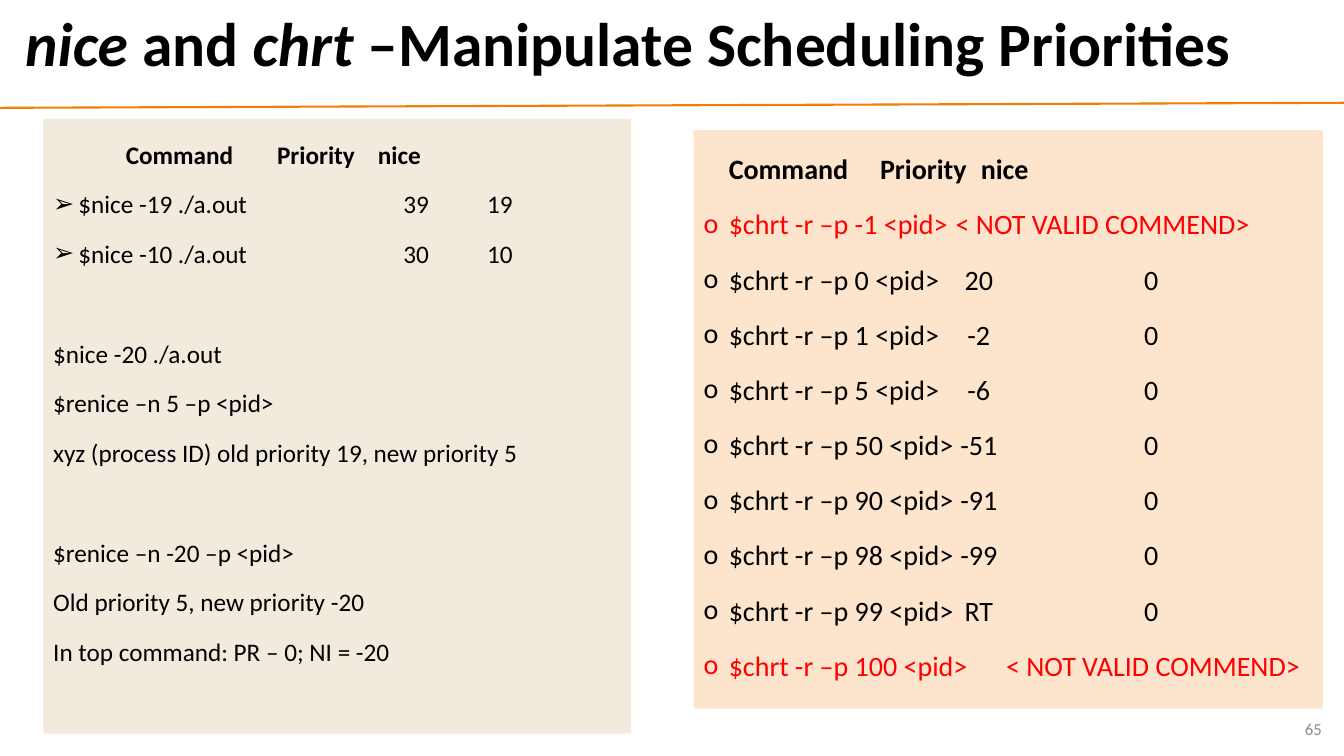
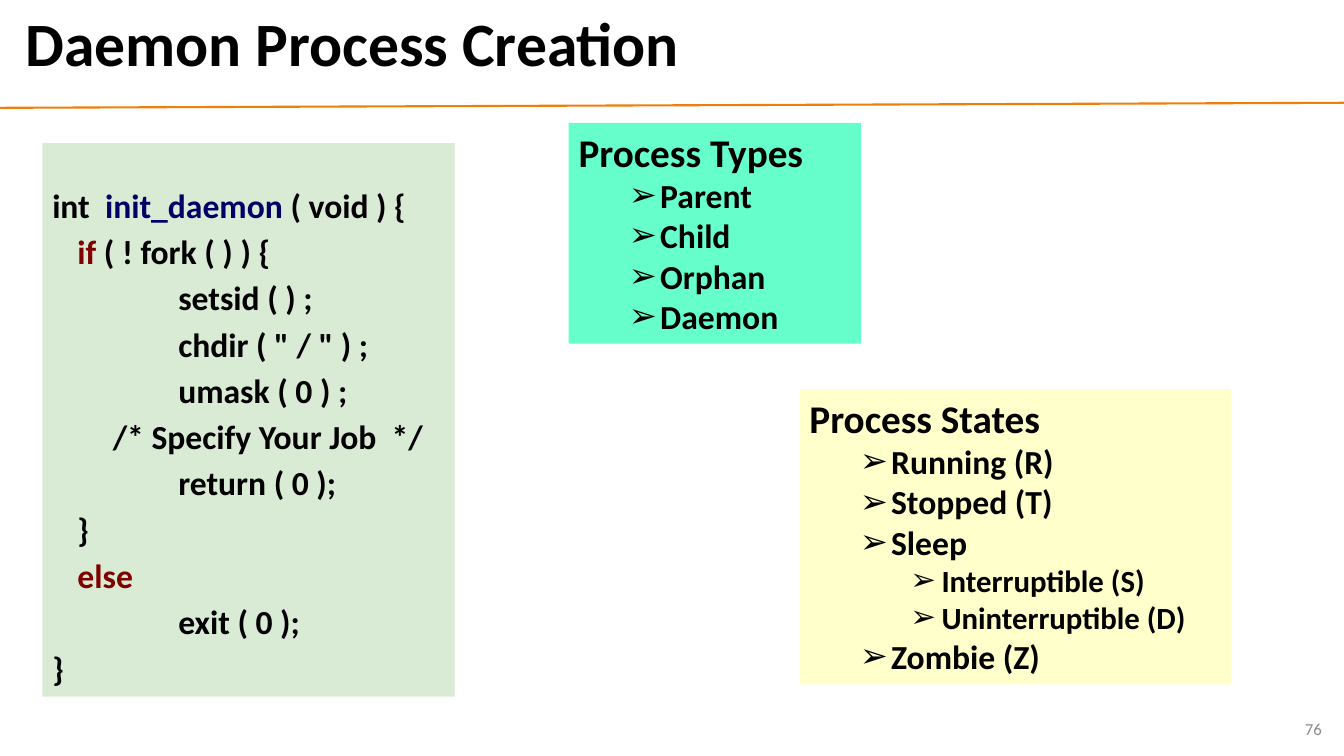
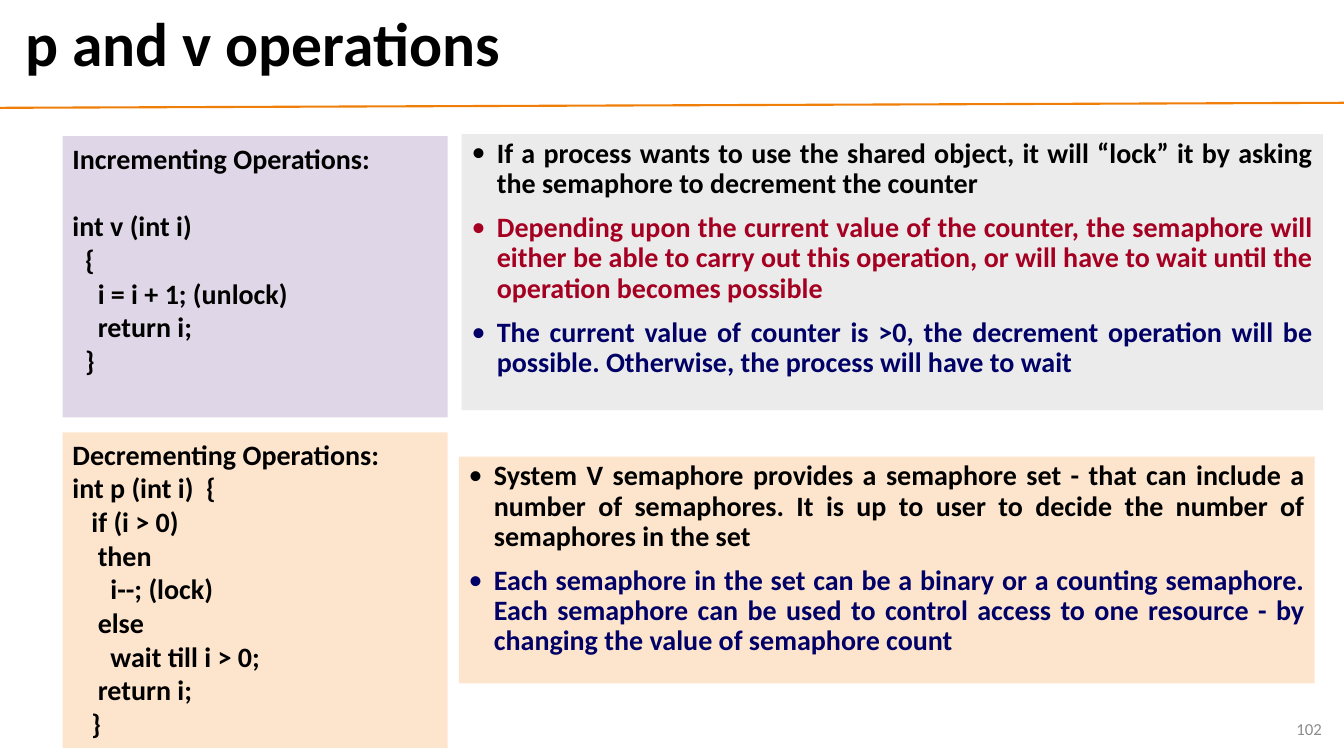
from dataclasses import dataclass

from lxml import etree
from pptx import Presentation
from pptx.dml.color import RGBColor
from pptx.enum.shapes import MSO_CONNECTOR, MSO_SHAPE
from pptx.enum.text import MSO_ANCHOR, MSO_AUTO_SIZE, PP_ALIGN
from pptx.oxml.ns import qn
from pptx.util import Pt

PX = 9144
SLIDE_W, SLIDE_H = 1333, 750
FONT = "Calibri"

BLACK = RGBColor(0x00, 0x00, 0x00)
WHITE = RGBColor(0xFF, 0xFF, 0xFF)
GREY = RGBColor(0x8C, 0x8C, 0x8C)
ORANGE = RGBColor(0xF0, 0x7F, 0x09)
RED = RGBColor(0xFF, 0x00, 0x00)
MAROON = RGBColor(0x80, 0x00, 0x00)
CRIMSON = RGBColor(0xA5, 0x00, 0x21)
NAVY = RGBColor(0x00, 0x00, 0x66)
PEACH = RGBColor(0xFD, 0xE5, 0xCD)
SAND = RGBColor(0xF3, 0xEA, 0xDE)
SAGE = RGBColor(0xD9, 0xEA, 0xD5)
MINT = RGBColor(0x66, 0xFF, 0xCC)
CREAM = RGBColor(0xFF, 0xFF, 0xCC)
LILAC = RGBColor(0xDF, 0xD7, 0xE7)
SILVER = RGBColor(0xEB, 0xEB, 0xEB)

RECT = MSO_SHAPE.RECTANGLE
STRAIGHT = MSO_CONNECTOR.STRAIGHT
TOP, MIDDLE = MSO_ANCHOR.TOP, MSO_ANCHOR.MIDDLE
NO_FIT = MSO_AUTO_SIZE.NONE
LEFT, RIGHT, JUSTIFY = PP_ALIGN.LEFT, PP_ALIGN.RIGHT, PP_ALIGN.JUSTIFY

ARROW, CIRCLE, DOT = "➢", "o", "•"


@dataclass
class Line:
    runs: list
    size: float = 20
    bold: bool = True
    align: PP_ALIGN = LEFT
    left: int = 0
    hang: int = 0
    bullet: str = ""
    tabs: tuple = ()
    spacing: float = 1.0
    before: float = 0


def emu(*lengths):
    return [n * PX for n in lengths]


def add_runs(p, runs, size, bold, color=BLACK):
    for text, *style in runs:
        r = p.add_run()
        r.text = text
        font = r.font
        font.name, font.size, font.bold = FONT, Pt(size), bold
        font.italic = "italic" in style
        font.color.rgb = next((c for c in style if c != "italic"), color)


def add_line(p, line):
    pPr = p._p.get_or_add_pPr()
    pPr.set("marL", str(line.left * PX))
    pPr.set("indent", str(-line.hang * PX))
    if line.bullet:
        etree.SubElement(pPr, qn("a:buFont")).set("typeface", FONT)
        etree.SubElement(pPr, qn("a:buChar")).set("char", line.bullet)
    if line.tabs:
        tab_list = etree.SubElement(pPr, qn("a:tabLst"))
        for pos, align in line.tabs:
            tab = etree.SubElement(tab_list, qn("a:tab"))
            tab.set("pos", str((pos - line.left) * PX))
            tab.set("algn", align)
    p.alignment = line.align
    p.line_spacing = line.spacing
    p.space_before = Pt(line.before)
    add_runs(p, line.runs, line.size, line.bold)


def add_panel(slide, box, fill, lines, top_inset=5):
    sp = slide.shapes.add_shape(RECT, *emu(*box))
    sp.shadow.inherit = False
    sp.fill.solid()
    sp.fill.fore_color.rgb = fill
    sp.line.fill.background()
    tf = sp.text_frame
    tf.word_wrap = True
    tf.vertical_anchor = TOP
    tf.margin_top = top_inset * PX
    for i, line in enumerate(lines):
        add_line(tf.add_paragraph() if i else tf.paragraphs[0], line)


def add_slide(prs, title_runs, number):
    slide = prs.slides.add_slide(prs.slide_layouts[5])
    slide.background.fill.solid()
    slide.background.fill.fore_color.rgb = WHITE

    rule = slide.shapes.add_connector(STRAIGHT, *emu(0, 107, SLIDE_W, 102))
    rule.line.color.rgb = ORANGE
    rule.line.width = Pt(1.5)
    etree.SubElement(rule._element.spPr, qn("a:effectLst"))

    title = slide.shapes.title
    title.left, title.top, title.width, title.height = emu(15, 5, 1289, 83)
    tf = title.text_frame
    tf.word_wrap = True
    tf.auto_size = NO_FIT
    tf.vertical_anchor = MIDDLE
    p = tf.paragraphs[0]
    p.alignment = LEFT
    p.line_spacing = 0.9
    add_runs(p, title_runs, 44, True)

    footer = slide.shapes.add_textbox(*emu(1021, 703, 300, 40))
    tf = footer.text_frame
    tf.word_wrap = True
    tf.vertical_anchor = MIDDLE
    p = tf.paragraphs[0]
    p.alignment = RIGHT
    add_runs(p, [(number,)], 12, False, GREY)
    return slide


def chrt_panel(slide, box):
    columns = ((298, "ctr"), (469, "ctr"))
    style = dict(left=25, spacing=1.5)
    row = dict(style, hang=25, bullet=CIRCLE, bold=False, before=3.4)

    def invalid(priority, note_at):
        text = f"$chrt -r –p {priority} <pid>\t< NOT VALID COMMEND>"
        return Line([(text, RED)], tabs=((note_at, "l"),), **row)

    values = [("0", "20"), ("1", "-2"), ("5", "-6"), ("50", "-51"),
              ("90", "-91"), ("98", "-99"), ("99", "RT")]
    lines = [Line([("Command\tPriority\tnice",)], tabs=columns, **style),
             invalid("-1", 254)]
    lines += [Line([(f"$chrt -r –p {arg} <pid>\t{priority}\t0",)], tabs=columns, **row)
              for arg, priority in values]
    lines.append(invalid("100", 274))
    add_panel(slide, box, PEACH, lines)


def nice_panel(slide, box):
    style = dict(size=18, spacing=1.5)
    body = dict(style, bold=False)
    row = dict(body, left=25, hang=25, bullet=ARROW, before=3,
               tabs=((385, "ctr"), (468, "ctr")))
    lines = [Line([("Command\tPriority\tnice",)], left=72,
                  tabs=((372, "ctr"), (471, "ctr")), **style),
             Line([("$nice -19 ./a.out\t39\t19",)], **row),
             Line([("$nice -10 ./a.out\t30\t10",)], **row)]
    groups = [
        ["$nice -20 ./a.out", "$renice –n 5 –p <pid>",
         "xyz (process ID) old priority 19, new priority 5"],
        ["$renice –n -20 –p <pid>", "Old priority 5, new priority -20",
         "In top command: PR – 0; NI = -20"],
    ]
    for group in groups:
        lines += [Line([(text,)], before=3 if i else 39, **body)
                  for i, text in enumerate(group)]
    add_panel(slide, box, SAND, lines)


def daemon_code_panel(slide, box):
    code = [
        (0, [("int  ",), ("init_daemon", NAVY), (" ( void ) {",)]),
        (25, [("if", MAROON), (" ( ! fork ( ) ) {",)]),
        (125, [("setsid ( ) ;",)]),
        (125, [('chdir ( " / " ) ;',)]),
        (125, [("umask ( 0 ) ;",)]),
        (60, [("/* Specify Your Job  */",)]),
        (125, [("return ( 0 );",)]),
        (25, [("}",)]),
        (25, [("else", MAROON)]),
        (125, [("exit ( 0 );",)]),
        (0, [("}",)]),
    ]
    lines = [Line(runs, size=24, left=left, spacing=0.8, before=10 if i else 0)
             for i, (left, runs) in enumerate(code)]
    add_panel(slide, box, SAGE, lines, top_inset=49)


def outline_panel(slide, box, fill, heading, items):
    sizes = {1: 24, 2: 22}
    lines = [Line([(heading,)], size=28)]
    lines += [Line([(text,)], size=sizes[level], left=31 + 50 * level, hang=31, bullet=ARROW)
              for level, text in items]
    add_panel(slide, box, fill, lines)


def code_panel(slide, box, fill, heading, code, gap=0):
    lines = [Line([(heading,)])]
    lines += [Line([(text,)], before=0 if i else gap) for i, text in enumerate(code)]
    add_panel(slide, box, fill, lines)


def notes_panel(slide, box, fill, notes):
    lines = [Line([note], align=JUSTIFY, left=25, hang=25, bullet=DOT,
                  spacing=0.9, before=10 if i else 0)
             for i, note in enumerate(notes)]
    add_panel(slide, box, fill, lines)


def priorities_slide(prs):
    title = [("nice", "italic"), (" and ",), ("chrt", "italic"),
             (" –Manipulate Scheduling Priorities",)]
    slide = add_slide(prs, title, "65")
    chrt_panel(slide, (688, 129, 624, 574))
    nice_panel(slide, (43, 118, 583, 610))


def daemon_slide(prs):
    slide = add_slide(prs, [("Daemon Process Creation",)], "76")
    daemon_code_panel(slide, (42, 142, 409, 549))
    outline_panel(slide, (564, 122, 290, 219), MINT, "Process Types",
                  [(1, "Parent"), (1, "Child"), (1, "Orphan"), (1, "Daemon")])
    outline_panel(slide, (793, 386, 428, 293), CREAM, "Process States",
                  [(1, "Running (R)"), (1, "Stopped (T)"), (1, "Sleep"),
                   (2, "Interruptible (S)"), (2, "Uninterruptible (D)"),
                   (1, "Zombie (Z)")])


def semaphore_slide(prs):
    slide = add_slide(prs, [("p and v operations",)], "102")
    code_panel(slide, (62, 135, 382, 279), LILAC, "Incrementing Operations:",
               ["int v (int i)", "  {", "    i = i + 1; (unlock)",
                "    return i;", "  }"], gap=24.4)
    notes_panel(slide, (458, 133, 854, 274), SILVER, [
        ("If a process wants to use the shared object, it will “lock” it by asking "
         "the semaphore to decrement the counter", BLACK),
        ("Depending upon the current value of the counter, the semaphore will either "
         "be able to carry out this operation, or will have to wait until the "
         "operation becomes possible", CRIMSON),
        ("The current value of counter is >0, the decrement operation will be "
         "possible. Otherwise, the process will have to wait", NAVY),
    ])
    notes_panel(slide, (455, 453, 849, 225), PEACH, [
        ("System V semaphore provides a semaphore set - that can include a number of "
         "semaphores. It is up to user to decide the number of semaphores in the set",
         BLACK),
        ("Each semaphore in the set can be a binary or a counting semaphore. Each "
         "semaphore can be used to control access to one resource - by changing the "
         "value of semaphore count", NAVY),
    ])
    code_panel(slide, (62, 429, 382, 313), PEACH, "Decrementing Operations:",
               ["int p (int i)  {", "   if (i > 0)", "    then", "      i--; (lock)",
                "    else", "      wait till i > 0;", "    return i;", "   }"])


def main():
    prs = Presentation()
    prs.slide_width, prs.slide_height = emu(SLIDE_W, SLIDE_H)
    priorities_slide(prs)
    daemon_slide(prs)
    semaphore_slide(prs)
    prs.save("out.pptx")


if __name__ == "__main__":
    main()
